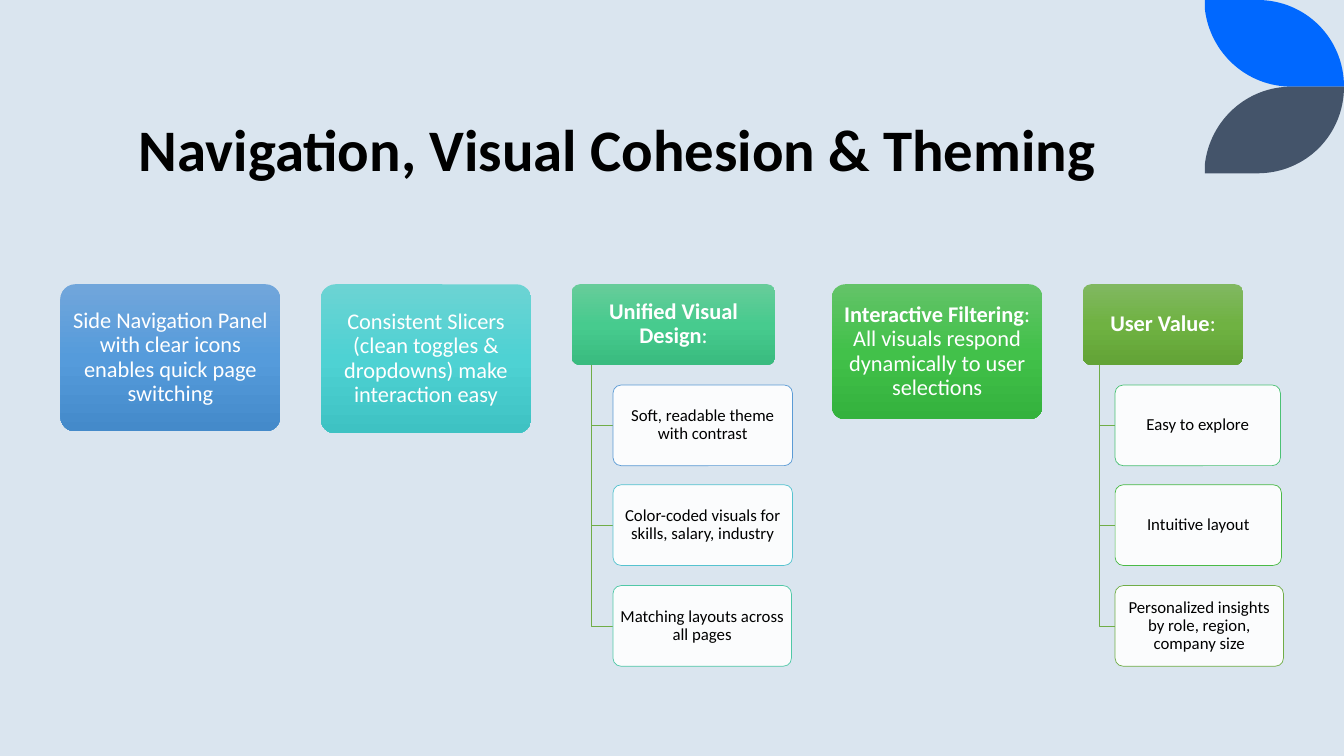
from copy import deepcopy

from lxml.etree import SubElement
from pptx import Presentation
from pptx.dml.color import RGBColor
from pptx.enum.shapes import MSO_SHAPE
from pptx.enum.text import MSO_ANCHOR, PP_ALIGN
from pptx.oxml.ns import qn
from pptx.util import Inches, Pt

TOP = 2.82
CHILD_TOPS = (3.82, 4.81, 5.81)
CARD_H = 0.8

# left, width, height, gradient, text runs (text, bold), trunk, child left, children
COLUMNS = [
    (0.6, 2.18, 1.46, ("71A6DB", "559BDB", "448ACA"),
     [("Side Navigation Panel with clear icons enables quick page switching", False)],
     0, 0, []),
    (3.18, 2.09, 1.48, ("6CD3D3", "4ED2D3", "3EC2C3"),
     [("Consistent Slicers (clean toggles & dropdowns) make interaction easy", False)],
     0, 0, []),
    (5.67, 2.02, CARD_H, ("67CC9A", "47CB8E", "39BB7F"),
     [("Unified Visual Design", True), (":", False)],
     5.87, 6.08, [("Soft, readable theme with contrast", 1.78, "5B9BD5"),
                  ("Color-coded visuals for skills, salary, industry", 1.78, "55C3CF"),
                  ("Matching layouts across all pages", 1.77, "50C8A7")]),
    (8.25, 2.09, 1.34, ("63C368", "42C14A", "34B23D"),
     [("Interactive Filtering", True),
      (": All visuals respond dynamically to user selections", False)],
     0, 0, []),
    (10.74, 1.59, CARD_H, ("81B861", "6FB242", "62A336"),
     [("User Value", True), (":", False)],
     10.9, 11.06, [("Easy to explore", 1.64, "4BC174"),
                   ("Intuitive layout", 1.65, "4ABA46"),
                   ("Personalized insights by role, region, company size",
                    1.67, "70AD47")]),
]


def color(code):
    return RGBColor.from_string(code)


def write(shape, runs, size, ink, spacing, **frame_format):
    frame = shape.text_frame
    frame.word_wrap = True
    for name, value in frame_format.items():
        setattr(frame, name, value)
    para = frame.paragraphs[0]
    para.line_spacing = spacing
    for text, bold in runs:
        run = para.add_run()
        run.text = text
        for name, value in {"name": "Calibri", "size": Pt(size), "bold": bold}.items():
            setattr(run.font, name, value)
        run.font.color.rgb = color(ink)
    return para


def add_card(slide, left, top, width, height, runs, size, ink):
    card = slide.shapes.add_shape(
        MSO_SHAPE.ROUNDED_RECTANGLE,
        Inches(left), Inches(top), Inches(width), Inches(height))
    card.adjustments[0] = 0.1
    card.shadow.inherit = False
    side, edge = Inches(0.03), Inches(0.02)
    para = write(card, runs, size, ink, 0.9, vertical_anchor=MSO_ANCHOR.MIDDLE,
                 margin_left=side, margin_right=side,
                 margin_top=edge, margin_bottom=edge)
    para.alignment = PP_ALIGN.CENTER
    return card


def fill_gradient(shape, codes):
    """Fill from top to bottom with three evenly spaced colours."""
    shape.fill.gradient()
    shape.fill.gradient_angle = 270
    first = shape._element.spPr.find(".//" + qn("a:gs"))
    first.addnext(deepcopy(first))
    for i, (stop, code) in enumerate(zip(shape.fill.gradient_stops, codes)):
        stop.position = i / 2
        stop.color.rgb = color(code)


def set_line(shape, code):
    shape.line.color.rgb = color(code)
    shape.line.width = Pt(0.5)


def add_outline(slide, points, close):
    start, *rest = [(Inches(x), Inches(y)) for x, y in points]
    pen = slide.shapes.build_freeform(*start)
    pen.add_line_segments(rest, close=close)
    shape = pen.convert_to_shape()
    shape.shadow.inherit = False
    return shape


def add_elbow(slide, x1, y1, x2, y2):
    elbow = add_outline(slide, [(x1, y1), (x1, y2), (x2, y2)], False)
    elbow.fill.background()
    set_line(elbow, "70AD47")


def add_child(slide, left, top, width, text, edge):
    card = add_card(slide, left, top, width, CARD_H, [(text, False)], 12, "000000")
    card.fill.solid()
    card.fill.fore_color.rgb = color("FFFFFF")
    white = card._element.spPr.find(qn("a:solidFill")).find(qn("a:srgbClr"))
    SubElement(white, qn("a:alpha"), val="90000")
    set_line(card, edge)


def add_column(slide, left, width, height, codes, runs, trunk, inner, children):
    head = add_card(slide, left, TOP, width, height, runs, 16, "FFFFFF")
    fill_gradient(head, codes)
    head.line.fill.background()
    for top, (text, wide, edge) in zip(CHILD_TOPS, children):
        add_elbow(slide, trunk, TOP + height, inner, top + CARD_H / 2)
        add_child(slide, inner, top, wide, text, edge)


def bend(shape, first):
    """Turn three line segments, from number first on, into one cubic curve."""
    lines = shape._element.spPr.findall(".//" + qn("a:lnTo"))[first:first + 3]
    curve = lines[0].getparent().makeelement(qn("a:cubicBezTo"))
    lines[0].addprevious(curve)
    for line in lines:
        curve.append(line[0])
        line.getparent().remove(line)


def add_leaf(slide, base, turn, code):
    """Draw a leaf from its square corner at base; turn -1 flips it upward."""
    edge = [(11.95, 0), (12.47, 0), (12.95, 0), (13.33, 0.38), (13.33, 0.86),
            (12.81, 0.86), (12.36, 0.86), (12, 0.52), (11.95, 0.09)]
    leaf = add_outline(slide, [(x, base + turn * y) for x, y in edge], True)
    bend(leaf, 5)
    bend(leaf, 1)
    leaf.fill.solid()
    leaf.fill.fore_color.rgb = color(code)
    leaf.line.fill.background()


def add_title(slide, text):
    box = slide.shapes.add_textbox(
        Inches(1.28), Inches(0.14), Inches(10.69), Inches(1.72))
    write(box, [(text, True)], 42, "000000", 0.8, vertical_anchor=MSO_ANCHOR.BOTTOM)


def main():
    deck = Presentation()
    deck.slide_width, deck.slide_height = Inches(13.33), Inches(7.5)
    slide = deck.slides.add_slide(deck.slide_layouts[6])
    slide.background.fill.solid()
    slide.background.fill.fore_color.rgb = color("DAE5EF")
    add_leaf(slide, 0, 1, "0068FF")
    add_leaf(slide, 1.72, -1, "44546A")
    add_title(slide, "Navigation, Visual Cohesion & Theming")
    for column in COLUMNS:
        add_column(slide, *column)
    deck.save("out.pptx")


if __name__ == "__main__":
    main()
